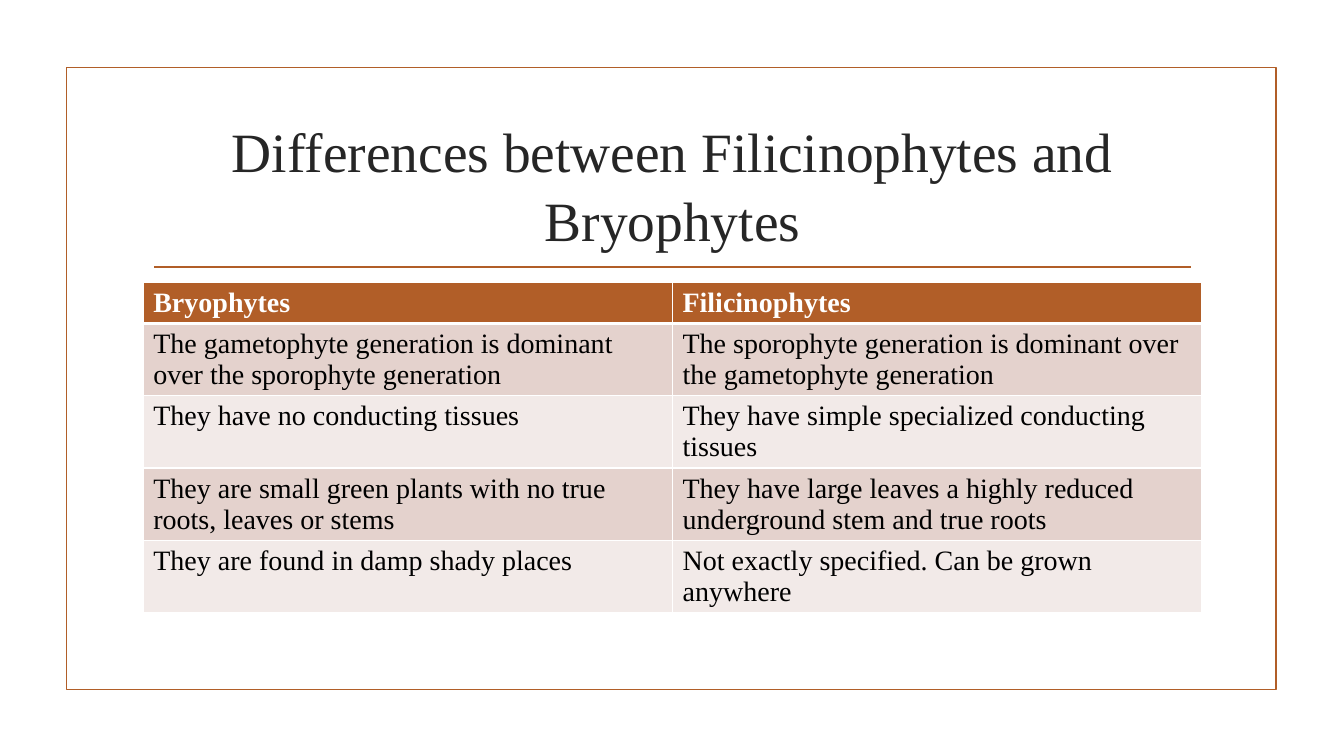
from lxml import etree
from pptx import Presentation, util as u
from pptx.dml.color import RGBColor
from pptx.enum import shapes, text
from pptx.oxml.ns import qn

PX = 9144  # EMU per px, 100 px to the inch
FONT = "Times New Roman"
RUST, WHITE, BLACK, CHARCOAL = "B15E28", "FFFFFF", "000000", "262626"
BANDS = ["E4D2CD", "F2EAE8"]
HEADER_HEIGHT, ROW_HEIGHT = 41, 71

ROWS = [
    ("Bryophytes", "Filicinophytes"),
    ("The gametophyte generation is dominant over the sporophyte generation",
     "The sporophyte generation is dominant over the gametophyte generation"),
    ("They have no conducting tissues",
     "They have simple specialized conducting tissues"),
    ("They are small green plants with no true roots, leaves or stems",
     "They have large leaves a highly reduced underground stem and true roots"),
    ("They are found in damp shady places",
     "Not exactly specified. Can be grown anywhere"),
]


def px(*lengths):
    return [u.Emu(length * PX) for length in lengths]


def color(value):
    return RGBColor.from_string(value)


def format_runs(paragraph, size, value, bold=False):
    for run in paragraph.runs:
        run.font.name = FONT
        run.font.size = u.Pt(size)
        run.font.bold = bold
        run.font.color.rgb = color(value)


def style_line(line):
    line.color.rgb = color(RUST)
    line.width = u.Pt(1.25)


def add_frame(slide, *box):
    shape = slide.shapes.add_shape(shapes.MSO_SHAPE.RECTANGLE, *px(*box))
    shape.shadow.inherit = False
    shape.fill.background()
    style_line(shape.line)


def add_rule(slide, *ends):
    connector = slide.shapes.add_connector(
        shapes.MSO_CONNECTOR.STRAIGHT, *px(*ends))
    style_line(connector.line)
    etree.SubElement(connector._element.spPr, qn("a:effectLst"))


def set_title(slide, wording, *box):
    title = slide.shapes.title
    title.left, title.top, title.width, title.height = px(*box)
    frame = title.text_frame
    frame.text = wording
    frame.word_wrap = True
    frame.auto_size = text.MSO_AUTO_SIZE.NONE
    frame.vertical_anchor = text.MSO_ANCHOR.MIDDLE
    frame.margin_top, frame.margin_bottom = px(13, 5)
    paragraph = frame.paragraphs[0]
    paragraph.alignment = text.PP_ALIGN.CENTER
    paragraph.line_spacing = 1.03
    format_runs(paragraph, 39.6, CHARCOAL)


def set_borders(cell, bottom_width):
    """Give a cell white borders; they must precede its fill in the XML."""
    properties = cell._tc.get_or_add_tcPr()
    widths = {"a:lnL": 1, "a:lnR": 1, "a:lnT": 1, "a:lnB": bottom_width}
    for index, (tag, width) in enumerate(widths.items()):
        border = etree.Element(qn(tag), w=str(u.Pt(width)))
        fill = etree.SubElement(border, qn("a:solidFill"))
        etree.SubElement(fill, qn("a:srgbClr"), val=WHITE)
        properties.insert(index, border)


def add_comparison(slide, left, top, width):
    height = HEADER_HEIGHT + ROW_HEIGHT * (len(ROWS) - 1)
    table = slide.shapes.add_table(
        len(ROWS), len(ROWS[0]), *px(left, top, width, height)).table
    for row_index, wordings in enumerate(ROWS):
        header = row_index == 0
        row_height = HEADER_HEIGHT if header else ROW_HEIGHT
        table.rows[row_index].height = px(row_height)[0]
        for column_index, wording in enumerate(wordings):
            cell = table.cell(row_index, column_index)
            cell.text = wording
            cell.fill.solid()
            cell.fill.fore_color.rgb = color(
                RUST if header else BANDS[(row_index - 1) % 2])
            set_borders(cell, 3 if header else 1)
            format_runs(cell.text_frame.paragraphs[0], 20,
                        WHITE if header else BLACK, bold=header)


def main():
    presentation = Presentation()
    presentation.slide_width, presentation.slide_height = px(1333, 750)
    slide = presentation.slides.add_slide(presentation.slide_layouts[5])
    add_frame(slide, 66, 67, 1200, 617)
    add_rule(slide, 153, 265, 1181, 265)
    set_title(slide, "Differences between Filicinophytes and Bryophytes",
              142, 107, 1050, 143)
    add_comparison(slide, 142, 280, 1050)
    presentation.save("out.pptx")


if __name__ == "__main__":
    main()
